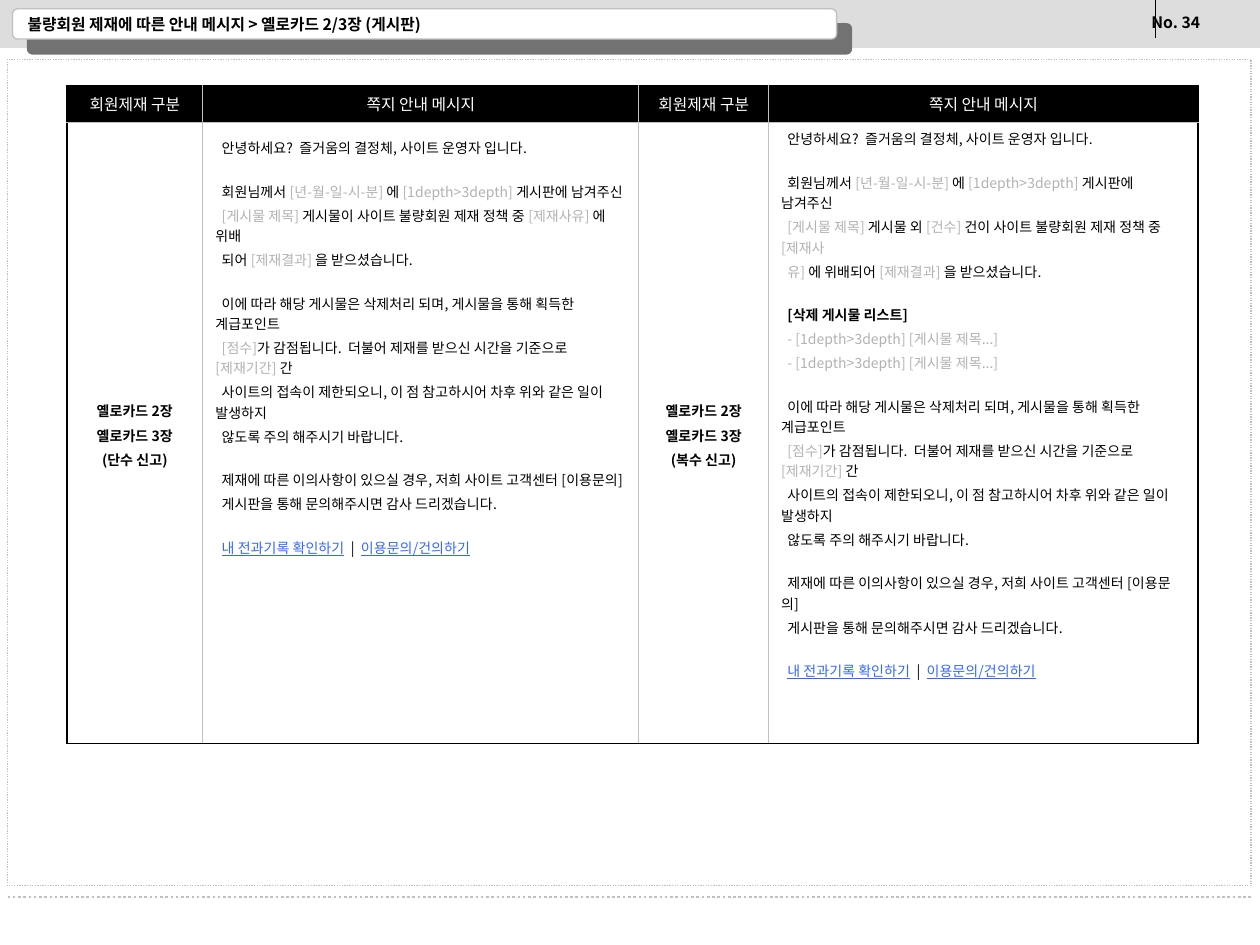
from lxml.etree import SubElement
from pptx import Presentation
from pptx.dml.color import RGBColor
from pptx.enum.dml import MSO_LINE
from pptx.enum.shapes import MSO_CONNECTOR, MSO_SHAPE
from pptx.enum.text import MSO_ANCHOR, PP_ALIGN
from pptx.oxml.ns import qn
from pptx.util import Inches, Pt

# Content: a message is a list of blocks, a block a list of lines, a line a list of (style, text)
TITLE = "불량회원 제재에 따른 안내 메시지 > 옐로카드 2/3장 (게시판)"
PAGE = "No. 34"
HEADERS = ["회원제재 구분", "쪽지 안내 메시지"] * 2
GREETING = [[("ink", "안녕하세요?  즐거움의 결정체, 사이트 운영자 입니다.")]]
POSTED = [("ink", "회원님께서 "), ("field", "[년-월-일-시-분] "), ("ink", "에 "),
          ("field", "[1depth>3depth] "), ("ink", "게시판에 남겨주신")]
PENALTY = [("field", "[제재결과] "), ("ink", "을 받으셨습니다.")]
DELETED_POST = [("field", "- [1depth>3depth] [게시물 제목...]")]
CLOSING = [
    [
        [("ink", "이에 따라 해당 게시물은 삭제처리 되며, 게시물을 통해 획득한 계급포인트")],
        [("field", "[점수]"), ("ink", "가 감점됩니다.  더불어 제재를 받으신 시간을 기준으로 "),
         ("field", "[제재기간] "), ("ink", "간")],
        [("ink", "사이트의 접속이 제한되오니, 이 점 참고하시어 차후 위와 같은 일이 발생하지")],
        [("ink", "않도록 주의 해주시기 바랍니다.")],
    ],
    [
        [("ink", "제재에 따른 이의사항이 있으실 경우, 저희 사이트 고객센터 [이용문의]")],
        [("ink", "게시판을 통해 문의해주시면 감사 드리겠습니다.")],
    ],
    [[("link", "내 전과기록 확인하기"), ("ink", "  |  "), ("link", "이용문의/건의하기")]],
]
SINGLE_REPORT = [
    GREETING,
    [
        POSTED,
        [("field", "[게시물 제목] "), ("ink", "게시물이 사이트 불량회원 제재 정책 중 "),
         ("field", "[제재사유] "), ("ink", "에 위배")],
        [("ink", "되어 ")] + PENALTY,
    ],
] + CLOSING
MULTIPLE_REPORTS = [
    GREETING,
    [
        POSTED,
        [("field", "[게시물 제목] "), ("ink", "게시물 외 "), ("field", "[건수] "),
         ("ink", "건이 사이트 불량회원 제재 정책 중 "), ("field", "[제재사")],
        [("field", "유] "), ("ink", "에 위배되어 ")] + PENALTY,
    ],
    [[("strong", "[삭제 게시물 리스트]")], DELETED_POST, DELETED_POST],
] + CLOSING
# Kind of report, message, top margin of the message
CASES = [("(단수 신고)", SINGLE_REPORT, 0.12), ("(복수 신고)", MULTIPLE_REPORTS, 0.05)]
CARDS = ["옐로카드 2장", "옐로카드 3장"]

COLORS = {"ink": "000000", "strong": "000000", "field": "B2B2B2", "link": "3366FF",
          "paper": "FFFFFF", "band": "DDDDDD", "rule": "C0C0C0", "shadow": "727272"}
FONT = "Noto Sans CJK KR"
COLUMNS, ROWS = [1.08, 3.46, 1.03, 3.41], [0.29, 4.93]
TABLE_LEFT, TABLE_TOP = 0.53, 0.68
LINE_GAP, BLOCK_GAP, FIRST_INDENT = 2, 13.3, 0.05
OUTER, INNER = ("ink", 1.08), ("rule", 0.45)


def rgb(name):
    return RGBColor.from_string(COLORS[name])


def box_of(*lengths):
    return [Inches(length) for length in lengths]


def set_font(paragraph, size, color="ink", bold=False):
    font = paragraph.font
    font.size, font.name, font.bold = Pt(size), FONT, bold
    font.color.rgb = rgb(color)
    SubElement(paragraph._p.pPr.find(qn("a:defRPr")), qn("a:ea"), typeface=FONT)


def add_panel(slide, shape_type, bounds, fill, line=None):
    panel = slide.shapes.add_shape(shape_type, *box_of(*bounds))
    panel.shadow.inherit = False
    panel.fill.solid()
    panel.fill.fore_color.rgb = rgb(fill)
    if line:
        panel.line.color.rgb = rgb(line)
        panel.line.width = Pt(0.75)
    else:
        panel.line.fill.background()
    return panel


def add_rule(slide, bounds, color, width):
    rule = slide.shapes.add_connector(MSO_CONNECTOR.STRAIGHT, *box_of(*bounds))
    rule.line.color.rgb = rgb(color)
    rule.line.width = Pt(width)
    SubElement(rule._element.spPr, qn("a:effectLst"))
    return rule


def add_label(slide, bounds, text, wrap):
    label = slide.shapes.add_textbox(*box_of(*bounds)).text_frame
    label.word_wrap = wrap
    label.text = text
    set_font(label.paragraphs[0], 9, bold=True)
    return label


def drop_shadow(shape, distance):
    effects = shape._element.spPr.find(qn("a:effectLst"))
    shadow = SubElement(effects, qn("a:outerShdw"), dist=str(Pt(distance)),
                        dir=str(45 * 60000), algn="ctr", rotWithShape="0")
    SubElement(shadow, qn("a:srgbClr"), val=COLORS["shadow"])


def set_borders(cell, edges):
    properties = cell._tc.get_or_add_tcPr()
    for place, (side, (color, width)) in enumerate(edges.items()):
        line = SubElement(properties, qn("a:ln" + side), w=str(Pt(width)))
        SubElement(SubElement(line, qn("a:solidFill")), qn("a:srgbClr"), val=COLORS[color])
        properties.insert(place, line)


def write_centred(cell, lines, size, color="ink", bold=False, spacing=None):
    cell.vertical_anchor = MSO_ANCHOR.MIDDLE
    cell.text = "\n".join(lines)
    for paragraph in cell.text_frame.paragraphs:
        paragraph.alignment = PP_ALIGN.CENTER
        paragraph.line_spacing = spacing
        set_font(paragraph, size, color, bold)


def write_message(cell, blocks, top_margin):
    cell.vertical_anchor = MSO_ANCHOR.TOP
    cell.margin_top = Inches(top_margin)
    frame = cell.text_frame
    lines = [(line, i == 0) for block in blocks for i, line in enumerate(block)]
    for number, (line, starts_block) in enumerate(lines):
        paragraph = frame.add_paragraph() if number else frame.paragraphs[0]
        if number:
            paragraph.space_before = Pt(BLOCK_GAP if starts_block else LINE_GAP)
        paragraph._p.get_or_add_pPr().set("indent", str(Inches(FIRST_INDENT)))
        set_font(paragraph, 8)
        for style, text in line:
            run = paragraph.add_run()
            run.text = text
            if style != "ink":
                run.font.color.rgb = rgb(style)
            if style == "strong":
                run.font.bold = True
            if style == "link":
                run.font.underline = True


deck = Presentation()
deck.slide_width, deck.slide_height = box_of(10, 7.5)
slide = deck.slides.add_slide(deck.slide_layouts[6])

# Top band with title and page number
add_panel(slide, MSO_SHAPE.RECTANGLE, (0, 0, 10, 0.38), "band")
add_rule(slide, (9.17, 0, 9.17, 0.3), "ink", 0.75)
add_label(slide, (9.04, 0.05, 1.08, 0.28), PAGE, False)
title_bar = add_panel(slide, MSO_SHAPE.ROUNDED_RECTANGLE, (0.1, 0.07, 6.54, 0.24), "paper", "rule")
drop_shadow(title_bar, 12.1)
title = add_label(slide, (0.12, 0.1, 5.42, 0.18), TITLE, True)
title.vertical_anchor = MSO_ANCHOR.MIDDLE

# Dotted frame and footer rule
footer = add_rule(slide, (0.06, 7.12, 9.94, 7.12), "rule", 1.5)
frame = add_panel(slide, MSO_SHAPE.RECTANGLE, (0.06, 0.47, 9.87, 6.56), "paper", "rule")
for dotted in (footer, frame):
    dotted.line.dash_style = MSO_LINE.ROUND_DOT

# Message table
table = slide.shapes.add_table(len(ROWS), len(COLUMNS), *box_of(
    TABLE_LEFT, TABLE_TOP, sum(COLUMNS), sum(ROWS))).table
table.first_row = table.horz_banding = False
for column, width in zip(table.columns, COLUMNS):
    column.width = Inches(width)
for row, height in zip(table.rows, ROWS):
    row.height = Inches(height)

for i, header in enumerate(HEADERS):
    write_centred(table.cell(0, i), [header], 9, "paper")
for i, (kind, message, top_margin) in enumerate(CASES):
    write_centred(table.cell(1, 2 * i), CARDS + [kind], 8, bold=True, spacing=1.2)
    write_message(table.cell(1, 2 * i + 1), message, top_margin)

last_row, last_column = len(ROWS) - 1, len(COLUMNS) - 1
for r in range(len(ROWS)):
    for c in range(len(COLUMNS)):
        cell = table.cell(r, c)
        cell.fill.solid()
        cell.fill.fore_color.rgb = rgb("paper" if r else "ink")
        set_borders(cell, {"L": INNER if c else OUTER,
                           "R": OUTER if c == last_column else INNER,
                           "T": INNER if r else OUTER,
                           "B": OUTER if r == last_row else INNER})

deck.save("out.pptx")
